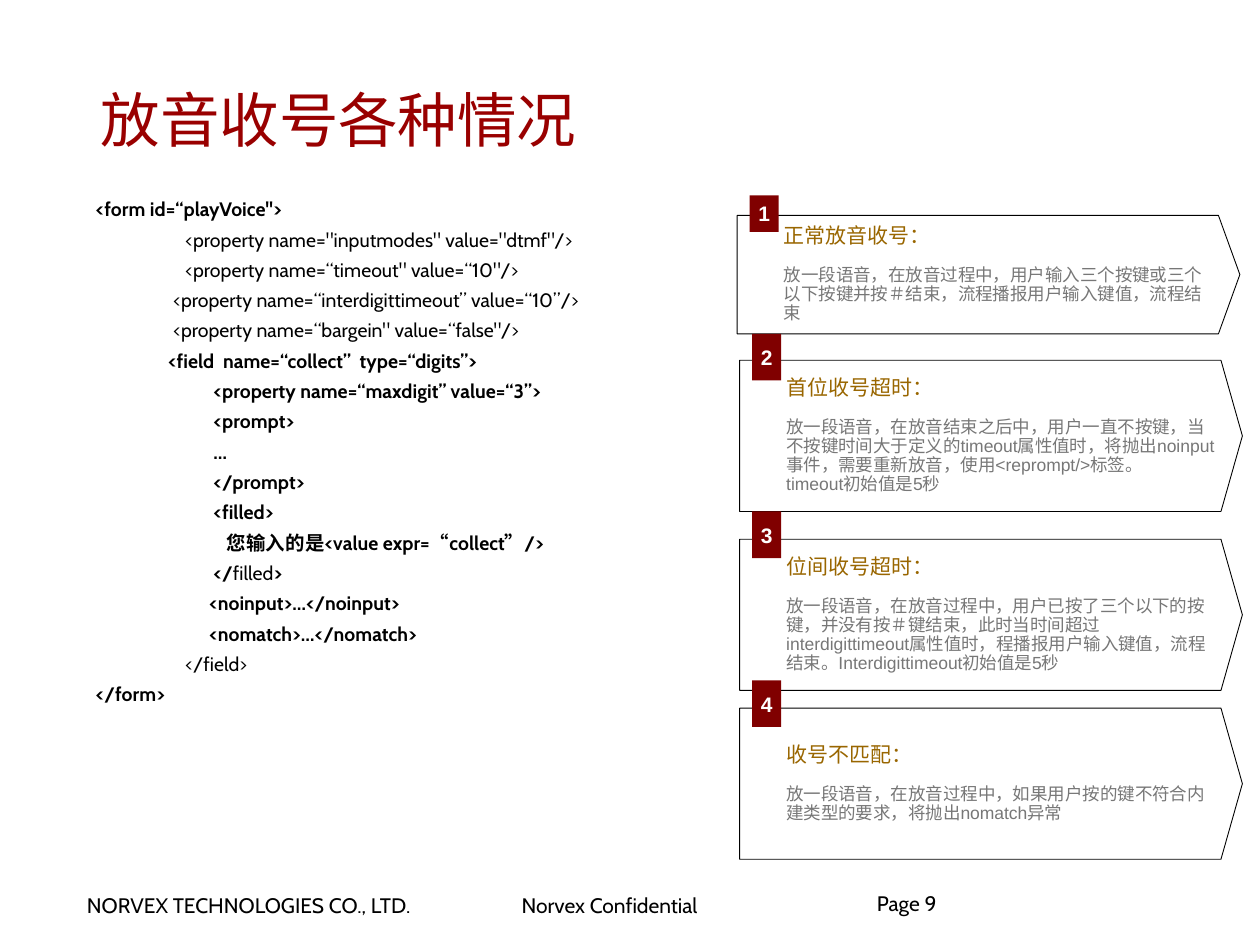
from lxml.etree import SubElement
from pptx import Presentation
from pptx.dml.color import RGBColor
from pptx.enum.shapes import MSO_SHAPE
from pptx.enum.text import MSO_ANCHOR, PP_ALIGN
from pptx.oxml.ns import qn
from pptx.util import Inches, Pt

BLACK, WHITE, RED, MAROON = "000000", "FFFFFF", "990000", "800000"
BROWN, GRAY = "996600", "777777"
TAB_STEP = 0.88
INSETS = (0.09, 0.04)

# Left margin and first-line indent for each code level
CODE_INDENTS = [(0.33, -0.33), (0.71, -0.27)]

# Code lines: level, then pieces of text with their bold setting
CODE = [
    (0, [("<form id=“playVoice\">", True)]),
    (1, [("\t<property name=\"inputmodes\" value=\"dtmf\"/>", False)]),
    (1, [("\t<property name=“timeout\" value=“10\"/>", False)]),
    (1, [("     <property name=“interdigittimeout” value=“10”/>", False)]),
    (1, [("     <property name=“bargein\" value=“false\"/>", False)]),
    (0, [("\t       <field  name=“collect”  type=“digits”>", True)]),
    (0, [("\t\t   <property name=“maxdigit” value=“3”>", True)]),
    (0, [("\t\t   <prompt>", True)]),
    (0, [("\t\t   …", True)]),
    (0, [("\t\t   </prompt>", True)]),
    (0, [("\t\t   <filled>", True)]),
    (0, [("\t\t      您输入的是<value expr=“collect”/>", True)]),
    (0, [("\t\t   </", True), ("filled", False), (">", True)]),
    (0, [("\t\t  <noinput>…</noinput>", True)]),
    (0, [("\t\t  <nomatch>…</nomatch>", True)]),
    (1, [("\t</field>", False)]),
    (0, [("</form>", True)]),
]

# Cards: left, top, height, text height, badge top, badge height, heading, body
CARDS = [
    (5.85, 1.71, 0.94, 0.78, 1.55, 0.29, "正常放音收号：",
     ["放一段语音，在放音过程中，用户输入三个按键或三个以下按键并按＃结束，"
      "流程播报用户输入键值，流程结束"]),
    (5.87, 2.86, 1.2, 0.93, 2.65, 0.37, "首位收号超时：",
     ["放一段语音，在放音结束之后中，用户一直不按键，当不按键时间大于定义的"
      "timeout属性值时，将抛出noinput事件，需要重新放音，使用<reprompt/>标签。",
      "timeout初始值是5秒"]),
    (5.87, 4.28, 1.2, 0.93, 4.06, 0.37, "位间收号超时：",
     ["放一段语音，在放音过程中，用户已按了三个以下的按键，并没有按＃键结束，"
      "此时当时间超过interdigittimeout属性值时，程播报用户输入键值，流程结束。"
      "Interdigittimeout初始值是5秒"]),
    (5.87, 5.62, 1.2, 0.63, 5.4, 0.37, "收号不匹配：",
     ["放一段语音，在放音过程中，如果用户按的键不符合内建类型的要求，"
      "将抛出nomatch异常"]),
]


def color(value):
    return RGBColor.from_string(value)


def set_font(paragraph, size, name, value, bold=None):
    font = paragraph.font
    font.size, font.name, font.bold = Pt(size), name, bold
    font.color.rgb = color(value)


def set_frame(frame, insets=(0, 0), anchor=MSO_ANCHOR.TOP, wrap=True):
    frame.word_wrap = wrap
    frame.vertical_anchor = anchor
    frame.margin_left = frame.margin_right = Inches(insets[0])
    frame.margin_top = frame.margin_bottom = Inches(insets[1])


def add_box(page, place, **frame_options):
    box = page.shapes.add_textbox(*map(Inches, place))
    set_frame(box.text_frame, **frame_options)
    return box.text_frame


def next_paragraph(frame, index):
    return frame.add_paragraph() if index else frame.paragraphs[0]


def add_label(page, place, text, size=12, value=BLACK, **frame_options):
    para = add_box(page, place, **frame_options).paragraphs[0]
    para.text = text
    set_font(para, size, "Cabin", value)
    return para


def set_code_indent(para, level):
    margin, indent = CODE_INDENTS[level]
    properties = para._p.get_or_add_pPr()
    properties.set("marL", str(Inches(margin)))
    properties.set("indent", str(Inches(indent)))
    stops = SubElement(properties, qn("a:tabLst"))
    for step in range(8):
        SubElement(stops, qn("a:tab"), pos=str(Inches(step * TAB_STEP)), algn="l")


def add_code(page, place):
    frame = add_box(page, place, insets=INSETS)
    for index, (level, pieces) in enumerate(CODE):
        para = next_paragraph(frame, index)
        set_code_indent(para, level)
        para.level = level
        para.line_spacing = 1.3
        set_font(para, 11.1, "Cabin", BLACK)
        for text, bold in pieces:
            span = para.add_run()
            span.text = text
            span.font.bold = bold


def add_arrow_outline(page, left, top, height):
    shoulder, tip, bottom = left + 3.82, left + 3.99, top + height
    points = [(shoulder, top), (tip, top + height / 2),
              (shoulder, bottom), (left, bottom)]
    builder = page.shapes.build_freeform(Inches(left), Inches(top))
    builder.add_line_segments([(Inches(x), Inches(y)) for x, y in points])
    outline = builder.convert_to_shape()
    outline.shadow.inherit = False
    outline.fill.background()
    outline.line.color.rgb = color(BLACK)
    outline.line.width = Pt(0.5)


def add_badge(page, place, number):
    badge = page.shapes.add_shape(MSO_SHAPE.RECTANGLE, *map(Inches, place))
    badge.shadow.inherit = False
    badge.fill.solid()
    badge.fill.fore_color.rgb = color(MAROON)
    badge.line.fill.background()
    set_frame(badge.text_frame, anchor=MSO_ANCHOR.MIDDLE)
    para = badge.text_frame.paragraphs[0]
    para.text = str(number)
    para.alignment = PP_ALIGN.CENTER
    set_font(para, 12, "Arial", WHITE, bold=True)


def add_card(page, number, card):
    left, top, height, text_height, badge_top, badge_height, heading, body = card
    add_arrow_outline(page, left, top, height)
    text_top = top + (height - text_height) / 2
    frame = add_box(page, (left + 0.37, text_top, 3.43, text_height),
                    anchor=MSO_ANCHOR.MIDDLE)
    for index, text in enumerate([heading, *body]):
        para = next_paragraph(frame, index)
        para.text = text
        para.line_spacing = 0.9
        if index == 1:
            para.space_before = Pt(10.5)
        set_font(para, 10 if index else 12, "Arial", GRAY if index else BROWN)
    add_badge(page, (left + 0.1, badge_top, 0.23, badge_height), number)


def main():
    deck = Presentation()
    deck.slide_width, deck.slide_height = Inches(10), Inches(7.5)
    page = deck.slides.add_slide(deck.slide_layouts[6])

    # Footer
    add_label(page, (0.6, 7.04, 3.09, 0.29), "NORVEX TECHNOLOGIES CO., LTD.",
              insets=INSETS, wrap=False)
    add_label(page, (4.05, 7.04, 2.18, 0.29), "Norvex Confidential",
              insets=INSETS, wrap=False)
    page_number = add_label(page, (6.96, 7.1, 2.29, 0.5), "Page 9")
    page_number.line_spacing = 0.85

    # Title and code
    add_label(page, (0.71, 0.47, 8.47, 0.95), "放音收号各种情况", 34, RED,
              insets=INSETS, anchor=MSO_ANCHOR.MIDDLE)
    add_code(page, (0.67, 1.47, 8.67, 4.25))

    # Numbered cases
    for number, card in enumerate(CARDS, 1):
        add_card(page, number, card)

    deck.save("out.pptx")


if __name__ == "__main__":
    main()
